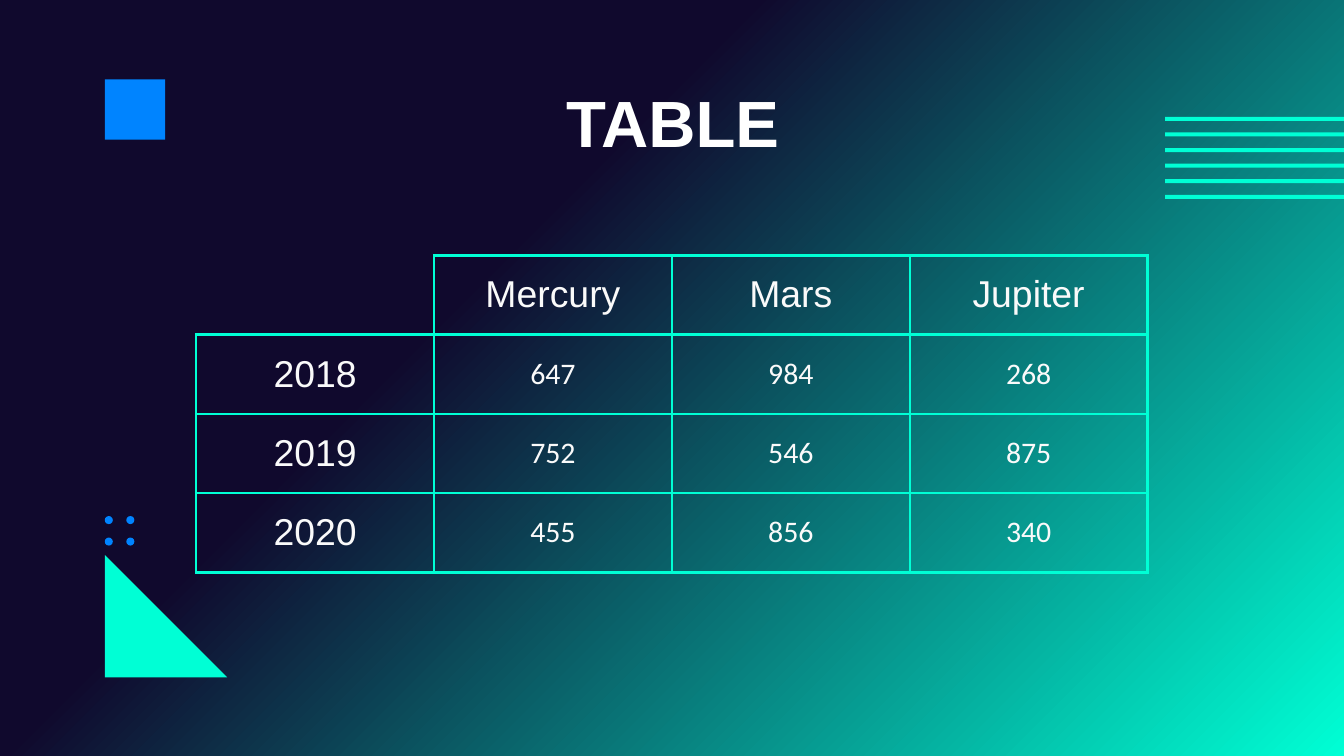
from copy import deepcopy
from dataclasses import dataclass

from lxml import etree
from pptx import Presentation
from pptx.dml.color import RGBColor
from pptx.enum.shapes import MSO_SHAPE
from pptx.enum.text import MSO_ANCHOR, PP_ALIGN
from pptx.oxml.ns import qn
from pptx.slide import Slide
from pptx.table import _Cell
from pptx.text.text import TextFrame
from pptx.util import Inches, Pt

RECTANGLE = MSO_SHAPE.RECTANGLE
OVAL = MSO_SHAPE.OVAL
RIGHT_TRIANGLE = MSO_SHAPE.RIGHT_TRIANGLE
MIDDLE = MSO_ANCHOR.MIDDLE
CENTER = PP_ALIGN.CENTER

NAVY = "10092D"
MINT = "00FFD5"
BLUE = "0084FF"
WHITE = "FFFFFF"
OFF_WHITE = "FAFAFA"

ROWS = [
    ["", "Mercury", "Mars", "Jupiter"],
    ["2018", "647", "984", "268"],
    ["2019", "752", "546", "875"],
    ["2020", "455", "856", "340"],
]
COLUMN_WIDTH = 1.77
ROW_HEIGHT = 0.59


@dataclass
class Decoration:
    """A plain filled shape, measured in inches."""

    preset: MSO_SHAPE
    left: float
    top: float
    width: float
    height: float
    color: str


@dataclass
class TextStyle:
    """The look of one run."""

    font: str
    size: float
    color: str
    bold: bool = False


TITLE_STYLE = TextStyle("Arial", 35, WHITE, True)
HEADING_STYLE = TextStyle("Arial", 20, OFF_WHITE)
VALUE_STYLE = TextStyle("Calibri", 16, OFF_WHITE)

DECORATIONS = [
    Decoration(RIGHT_TRIANGLE, 0.78, 4.13, 0.91, 0.91, MINT),
    *(
        Decoration(OVAL, 0.78 + 0.16 * column, 3.84 + 0.16 * row, 0.06, 0.06, BLUE)
        for row in range(2)
        for column in range(2)
    ),
    *(
        Decoration(RECTANGLE, 8.67, 0.87 + 0.58 * index / 5, 2.56, 0.03, MINT)
        for index in range(6)
    ),
    Decoration(RECTANGLE, 0.78, 0.59, 0.45, 0.45, BLUE),
]


def rgb(color: str) -> RGBColor:
    """Turn a hex string into a colour."""
    return RGBColor.from_string(color)


def paint_background(slide: Slide) -> None:
    """Fill the slide with a diagonal gradient that stays dark for its first third."""
    fill = slide.background.fill
    fill.gradient()
    fill.gradient_angle = 315
    stop_list = slide.element.find(".//" + qn("a:gsLst"))
    stop_list.append(deepcopy(stop_list[-1]))
    stops = [(0, NAVY), (0.36, NAVY), (1, MINT)]
    for stop, (position, color) in zip(fill.gradient_stops, stops):
        stop.position = position
        stop.color.rgb = rgb(color)


def draw_decoration(slide: Slide, decoration: Decoration) -> None:
    """Add one filled shape without outline."""
    shape = slide.shapes.add_shape(
        decoration.preset,
        Inches(decoration.left),
        Inches(decoration.top),
        Inches(decoration.width),
        Inches(decoration.height),
    )
    shape.shadow.inherit = False
    shape.fill.solid()
    shape.fill.fore_color.rgb = rgb(decoration.color)
    shape.line.fill.background()


def write_text(frame: TextFrame, text: str, style: TextStyle) -> None:
    """Write one centred run."""
    paragraph = frame.paragraphs[0]
    paragraph.alignment = CENTER
    run = paragraph.add_run()
    run.text = text
    run.font.name = style.font
    run.font.size = Pt(style.size)
    run.font.bold = style.bold
    run.font.color.rgb = rgb(style.color)


def set_borders(cell: _Cell, visible: str) -> None:
    """Draw the named sides of a cell and clear the others."""
    properties = cell._tc.get_or_add_tcPr()
    for side in "LRTB":
        line = etree.SubElement(properties, qn(f"a:ln{side}"), w=str(Pt(1.5)))
        if side in visible:
            solid = etree.SubElement(line, qn("a:solidFill"))
            etree.SubElement(solid, qn("a:srgbClr"), val=MINT)
        else:
            etree.SubElement(line, qn("a:noFill"))


def draw_table(slide: Slide) -> None:
    """Add the table of yearly values by planet."""
    table = slide.shapes.add_table(
        len(ROWS),
        len(ROWS[0]),
        Inches(1.46),
        Inches(1.9),
        Inches(COLUMN_WIDTH * len(ROWS[0])),
        Inches(ROW_HEIGHT * len(ROWS)),
    ).table
    table.first_row = False
    table.horz_banding = False
    for column in table.columns:
        column.width = Inches(COLUMN_WIDTH)
    for row_index, texts in enumerate(ROWS):
        table.rows[row_index].height = Inches(ROW_HEIGHT)
        for column_index, text in enumerate(texts):
            cell = table.cell(row_index, column_index)
            set_borders(cell, "LRTB" if text else "RB")
            cell.fill.background()
            cell.vertical_anchor = MIDDLE
            cell.margin_left = cell.margin_right = Inches(0.1)
            cell.margin_top = cell.margin_bottom = Inches(0.1)
            if text:
                is_value = row_index > 0 and column_index > 0
                style = VALUE_STYLE if is_value else HEADING_STYLE
                write_text(cell.text_frame, text, style)


def draw_title(slide: Slide) -> None:
    """Add the slide title."""
    box = slide.shapes.add_textbox(
        Inches(0.79), Inches(0.59), Inches(8.43), Inches(0.63)
    )
    frame = box.text_frame
    frame.word_wrap = True
    frame.vertical_anchor = MIDDLE
    frame.margin_left = frame.margin_right = Inches(0.1)
    frame.margin_top = frame.margin_bottom = Inches(0.1)
    write_text(frame, "TABLE", TITLE_STYLE)


def main() -> None:
    """Build and save the presentation."""
    presentation = Presentation()
    presentation.slide_width = Inches(10)
    presentation.slide_height = Inches(10 * 9 / 16)
    slide = presentation.slides.add_slide(presentation.slide_layouts[6])
    paint_background(slide)
    for decoration in DECORATIONS:
        draw_decoration(slide, decoration)
    draw_table(slide)
    draw_title(slide)
    presentation.save("out.pptx")


if __name__ == "__main__":
    main()
